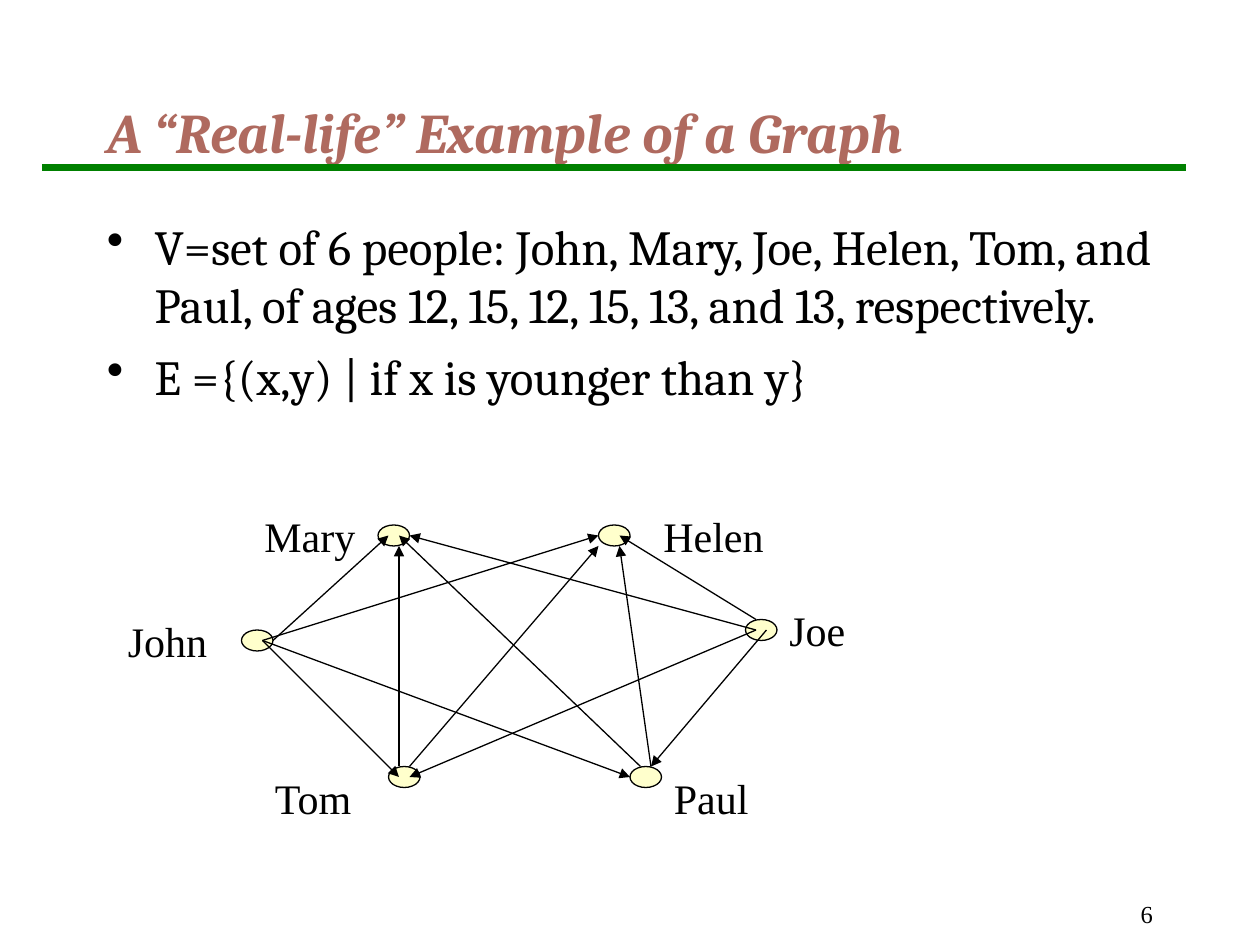
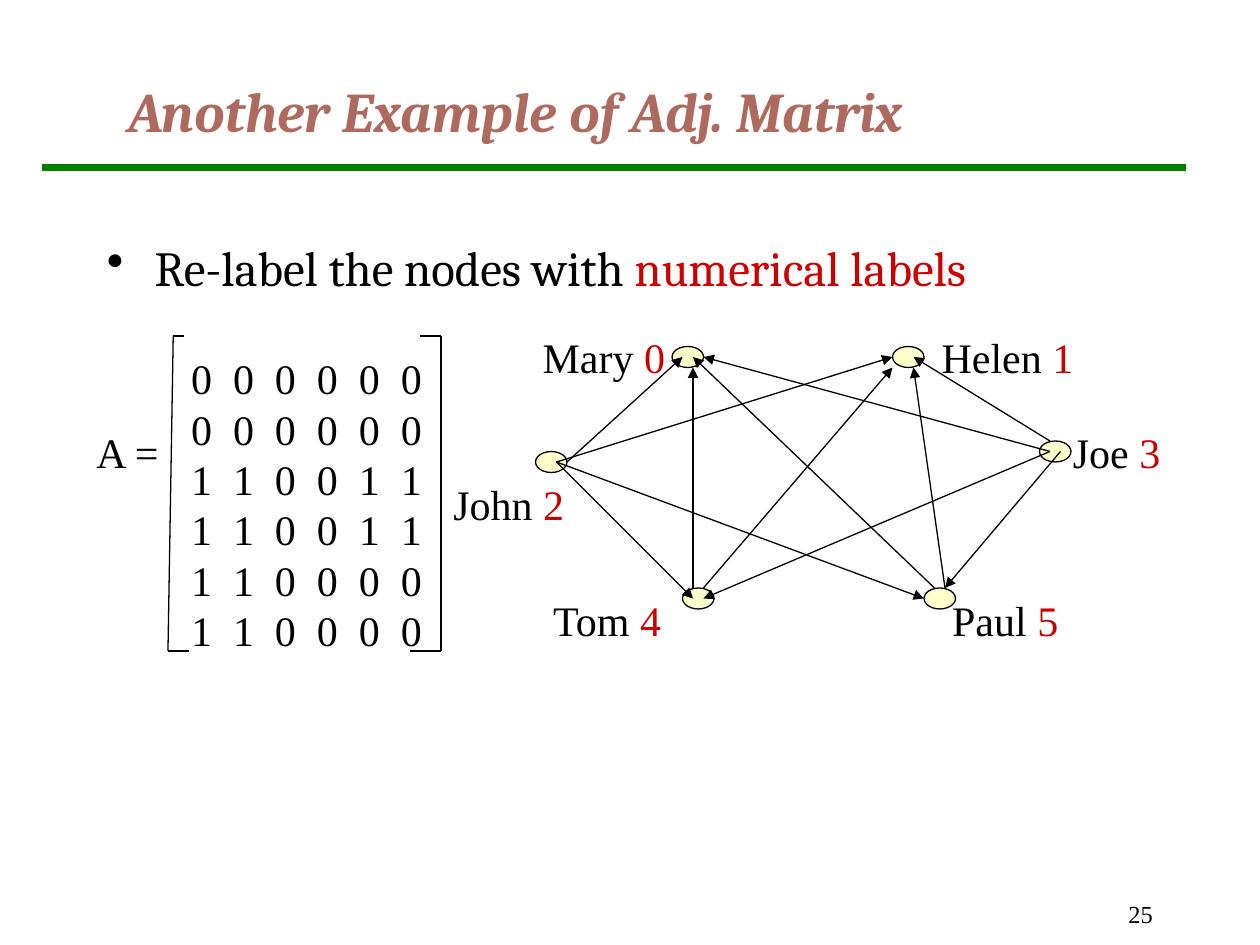
from itertools import pairwise

from lxml import etree
from pptx import Presentation, util as u
from pptx.dml.color import RGBColor
from pptx.enum import shapes, text
from pptx.oxml import ns

COLORS = {"ink": "000000", "title": "AF6A5F", "rule": "008000",
          "node": "FFFFCC", "accent": "CC0000"}
HEAD, SERIF = "Cambria", "Times New Roman"
UNIT = u.Inches(10) / 120
NODE_SIZE = (3, 2)
NODES = {"John": (0, 10), "Mary": (13, 0), "Tom": (14, 23),
         "Paul": (37, 23), "Joe": (48, 9), "Helen": (34, 0)}
LABELS = {"John": (-12, 8, 10), "Joe": (51, 7, 7.7), "Mary": (1, -2, 11),
          "Helen": (39, -2, 11.9), "Tom": (2, 23, 10), "Paul": (40, 23, 9.5)}
EDGES = [((3, 11), (14, 1)), ((2, 11), (34, 1)), ((49, 9), (36, 1)),
         ((49, 10), (16, 1)), ((2, 11), (15, 24)), ((2, 11), (37, 24)),
         ((49, 10), (16, 24)), ((50, 10), (39, 23)), ((15, 23), (15, 2)),
         ((39, 23), (36, 2)), ((16, 23), (34, 2)), ((38, 23), (15, 1))]
MATRIX = ["000000", "000000", "110011", "110011", "110000", "110000"]


def grid(*cells):
    """Turn grid units (120 by 90 on a slide) into lengths."""
    return [u.Emu(round(c * UNIT)) for c in cells]


def rgb(name):
    """Look up a named colour."""
    return RGBColor.from_string(COLORS[name])


def write(tf, paras, font=SERIF, size=24, color="ink", bold=False, italic=False,
          align=text.PP_ALIGN.LEFT, anchor=text.MSO_ANCHOR.TOP, wrap=False,
          leading=None, before=0, bullet=False, tracking=None):
    """Fill a text frame; each paragraph is a list of (text, colour or None)."""
    tf.auto_size = text.MSO_AUTO_SIZE.NONE
    tf.word_wrap, tf.vertical_anchor = wrap, anchor
    for i, runs in enumerate(paras):
        p = tf.add_paragraph() if i else tf.paragraphs[0]
        p.alignment, p.space_before = align, u.Pt(before)
        if leading:
            p.line_spacing = u.Pt(leading)
        if bullet:
            pr = p._p.get_or_add_pPr()
            pr.set("marL", str(u.Inches(0.38)))
            pr.set("indent", str(-u.Inches(0.38)))
            etree.SubElement(pr, ns.qn("a:buChar")).set("char", "•")
        for words, tint in runs:
            r = p.add_run()
            r.text = words
            r.font.name, r.font.size = font, u.Pt(size)
            r.font.bold, r.font.italic = bold, italic
            r.font.color.rgb = rgb(tint or color)
            if tracking:
                r._r.get_or_add_rPr().set("spc", str(tracking))


def add_text(s, box, paras, **fmt):
    """Add a text box at a grid box."""
    write(s.shapes.add_textbox(*grid(*box)).text_frame, paras, **fmt)


def add_line(s, start, end, color="ink", width=0.75, arrow=False):
    """Draw a straight line between two grid points."""
    c = s.shapes.add_connector(shapes.MSO_CONNECTOR.STRAIGHT, *grid(*start, *end))
    c.line.color.rgb, c.line.width = rgb(color), u.Pt(width)
    if arrow:
        etree.SubElement(c.line._get_or_add_ln(), ns.qn("a:tailEnd")).set("type", "triangle")
    etree.SubElement(c._element.spPr, ns.qn("a:effectLst"))


def add_frame(prs, title, title_box, number):
    """Start a slide with its title, green rule and page number."""
    s = prs.slides.add_slide(prs.slide_layouts[5])
    sp = s.shapes.title
    sp.left, sp.top, sp.width, sp.height = grid(*title_box)
    write(sp.text_frame, [[(title, None)]], font=HEAD, size=32, color="title",
          bold=True, italic=True, anchor=text.MSO_ANCHOR.MIDDLE, wrap=True)
    add_line(s, (4, 16), (113, 16), "rule", 4)
    add_text(s, (86, 83, 25, 6), [[(number, None)]], size=14, wrap=True,
             align=text.PP_ALIGN.RIGHT, anchor=text.MSO_ANCHOR.BOTTOM)
    return s


def add_bullets(s, box, paras):
    """Add the bulleted body text."""
    add_text(s, box, paras, font=HEAD, size=28, wrap=True, before=7, bullet=True)


def add_graph(s, left, top, numbers=None, moved=None):
    """Draw the people graph from its top left corner, optionally numbered."""
    for x, y in NODES.values():
        sp = s.shapes.add_shape(shapes.MSO_SHAPE.OVAL, *grid(left + x, top + y, *NODE_SIZE))
        sp.shadow.inherit = False
        sp.fill.solid()
        sp.fill.fore_color.rgb = rgb("node")
        sp.line.color.rgb, sp.line.width = rgb("ink"), u.Pt(0.75)
    for name, (x, y, w) in LABELS.items():
        runs = [(name, None)]
        if numbers:
            dx, dy = moved.get(name, (-1.5, 0))
            x, y, w = x + dx, y + dy, w + 3
            runs = [(name + " ", None), (numbers[name], "accent")]
        add_text(s, (left + x, top + y, w, 6), [runs], leading=28.8)
    for (x1, y1), (x2, y2) in EDGES:
        add_line(s, (left + x1, top + y1), (left + x2, top + y2), arrow=True)


def add_matrix(s, left, top):
    """Write the bracketed adjacency matrix from its top left corner."""
    rows = [[(" ".join(row), None)] for row in MATRIX]
    add_text(s, (left - 6, top + 1, 38.4, 30), rows, leading=28.8,
             align=text.PP_ALIGN.CENTER, tracking=300)
    for bracket in ([(1.5, 0), (0.5, 0), (0, 30), (2, 30)],
                    [(24, 0), (26, 0), (26, 30), (23, 30)]):
        for start, end in pairwise((left + x, top + y) for x, y in bracket):
            add_line(s, start, end)
    add_text(s, (left - 8, top + 8, 8.5, 6), [[("A =", None)]], leading=28.8)


def add_example_slide(prs):
    """Build the slide that defines the graph."""
    s = add_frame(prs, "A “Real-life” Example of a Graph", (9, 7, 102, 11), "6")
    add_bullets(s, (9, 20, 102, 60), [
        [("V=set of 6 people: John, Mary, Joe, Helen, Tom, and Paul, "
          "of ages 12, 15, 12, 15, 13, and 13, respectively.", None)],
        [("E ={(x,y) | if x is younger than y}", None)]])
    add_graph(s, 23, 50)


def add_matrix_slide(prs):
    """Build the slide with the numbered graph and its matrix."""
    s = add_frame(prs, "Another Example of Adj. Matrix", (11, 3, 102, 15), "25")
    add_bullets(s, (9, 22, 102, 54), [
        [("Re-label the nodes with ", None), ("numerical labels", "accent")]])
    order = ["Mary", "Helen", "John", "Joe", "Tom", "Paul"]
    add_graph(s, 51, 33, {name: str(i) for i, name in enumerate(order)},
              {"John": (3, 4), "Joe": (-1, 0)})
    add_matrix(s, 16, 32)


def main():
    """Build and save the presentation."""
    prs = Presentation()
    prs.slide_width, prs.slide_height = grid(120, 90)
    add_example_slide(prs)
    add_matrix_slide(prs)
    prs.save("out.pptx")


if __name__ == "__main__":
    main()
